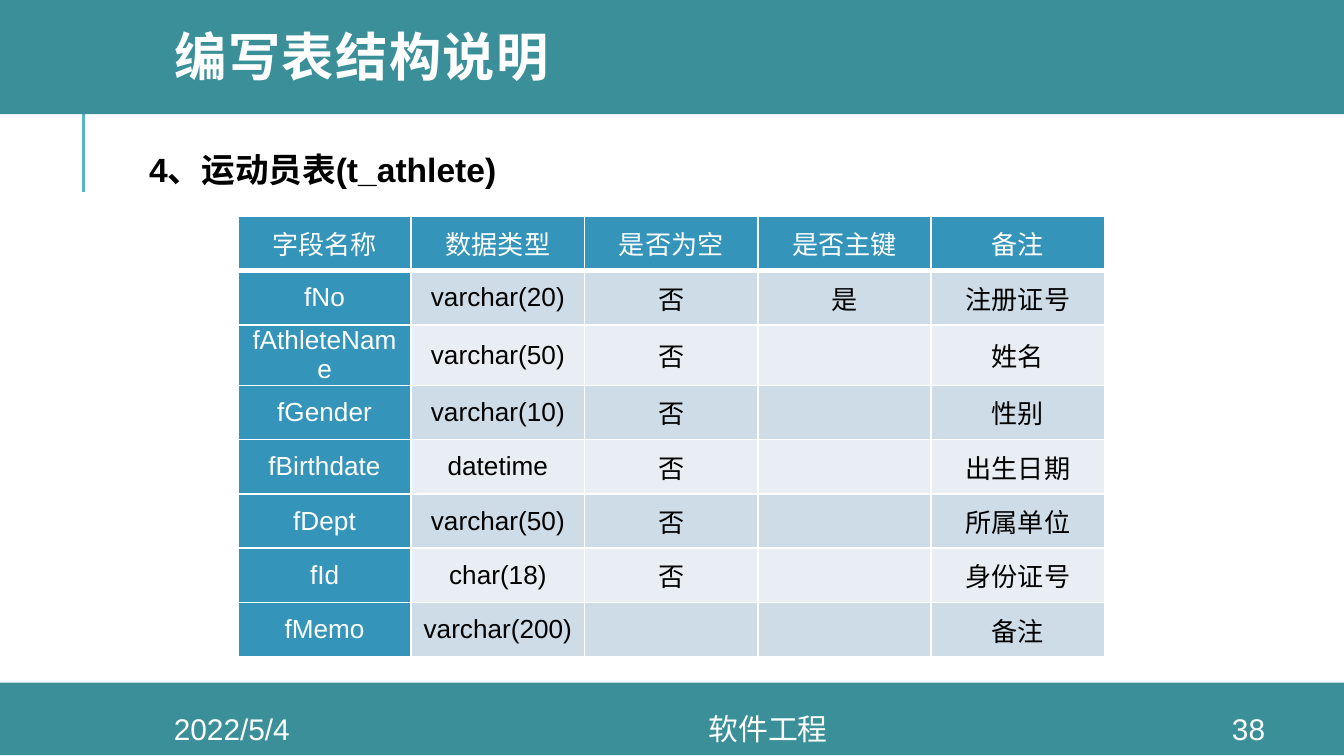
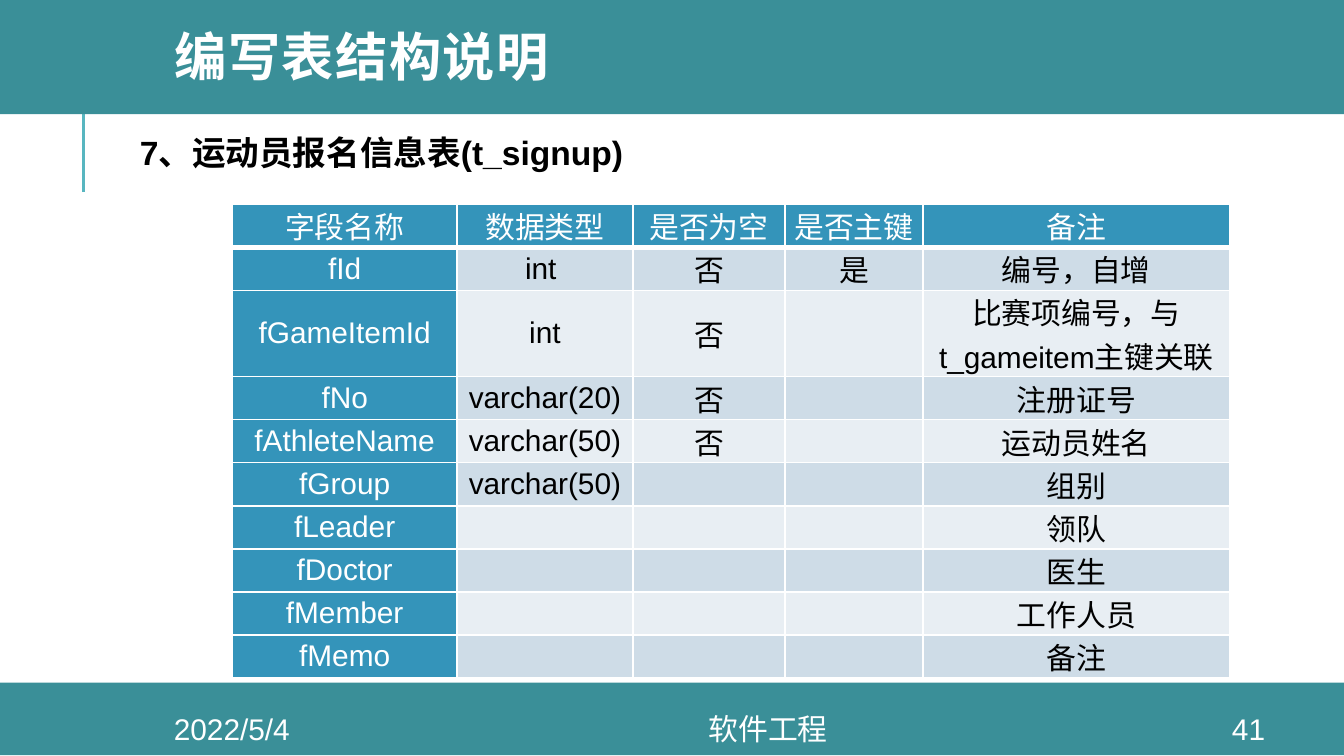
import pptx
import pptx.util
import pptx.dml.color
import pptx.enum.shapes
import pptx.enum.text
import pptx.oxml
import pptx.oxml.ns
from lxml import etree

Inches = pptx.util.Inches
Pt = pptx.util.Pt
RGB = pptx.dml.color.RGBColor
ALIGN = pptx.enum.text.PP_ALIGN
SHAPE = pptx.enum.shapes.MSO_SHAPE
LINE = pptx.enum.shapes.MSO_CONNECTOR

TEAL = RGB(0x3A, 0x8F, 0x98)
AQUA = RGB(0x58, 0xB6, 0xC0)
BLUE = RGB(0x34, 0x94, 0xBA)
DARK = RGB(0xCE, 0xDC, 0xE7)
PALE = RGB(0xE8, 0xEE, 0xF3)
WHITE = RGB(0xFF, 0xFF, 0xFF)
BLACK = RGB(0, 0, 0)
FACE = "Arial"

TITLE = "编写表结构说明"
DATE = "2022/5/4"
COURSE = "软件工程"
BANDS = [(0, 5.08, 10, 0.54), (0, -0.03, 10, 0.88)]
HEADS = ("字段名称", "数据类型", "是否为空", "是否主键", "备注")

PAGES = [
    {
        "page": "38",
        "label": "4、运动员表(t_athlete)",
        "box": (1.04, 0.97, 2.96, 0.58),
        "spot": (1.77, 1.61),
        "size": 14,
        "cols": [1.29] * 5,
        "deep": 3.28,
        "tall": 0.45,
        "rows": [
            ("fNo", "varchar(20)", "否", "是", "注册证号"),
            ("fAthleteName", "varchar(50)", "否", "", "姓名"),
            ("fGender", "varchar(10)", "否", "", "性别"),
            ("fBirthdate", "datetime", "否", "", "出生日期"),
            ("fDept", "varchar(50)", "否", "", "所属单位"),
            ("fId", "char(18)", "否", "", "身份证号"),
            ("fMemo", "varchar(200)", "", "", "备注"),
        ],
    },
    {
        "page": "41",
        "label": "7、运动员报名信息表(t_signup)",
        "box": (0.97, 0.94, 3.75, 0.38),
        "spot": (1.73, 1.52),
        "size": 16,
        "cols": [1.67, 1.31, 1.13, 1.03, 2.28],
        "deep": 3.07,
        "tall": 0.46,
        "rows": [
            ("fId", "int ", "否", "是", "编号，自增"),
            ("fGameItemId", "int", "否", "", "比赛项编号，与t_gameitem主键关联"),
            ("fNo", "varchar(20)", "否", "", "注册证号"),
            ("fAthleteName", "varchar(50)", "否", "", "运动员姓名"),
            ("fGroup", "varchar(50)", "", "", "组别"),
            ("fLeader", "", "", "", "领队"),
            ("fDoctor", "", "", "", "医生"),
            ("fMember", "", "", "", "工作人员"),
            ("fMemo", "", "", "", "备注"),
        ],
    },
]


def style(para, size, color, bold=False, align=ALIGN.LEFT):
    para.alignment = align
    for run in para.runs:
        run.font.name = FACE
        run.font.size = Pt(size)
        run.font.bold = bold
        run.font.color.rgb = color


def add_text(slide, box, text, size, color, bold=False, align=ALIGN.LEFT, pad=0):
    frame = slide.shapes.add_textbox(*map(Inches, box)).text_frame
    frame.word_wrap = True
    frame.vertical_anchor = pptx.enum.text.MSO_ANCHOR.MIDDLE
    frame.margin_left = frame.margin_right = Inches(pad)
    frame.margin_top = frame.margin_bottom = 0
    frame.text = text
    style(frame.paragraphs[0], size, color, bold, align)


def add_frame(slide):
    rule = slide.shapes.add_connector(
        LINE.STRAIGHT, Inches(0.62), Inches(1.43), Inches(0.62), Inches(0.68))
    rule.line.color.rgb = AQUA
    rule.line.width = Pt(1.5)
    props = rule.element.find(pptx.oxml.ns.qn("p:spPr"))
    etree.SubElement(props, pptx.oxml.ns.qn("a:effectLst"))
    for box in BANDS:
        band = slide.shapes.add_shape(SHAPE.RECTANGLE, *map(Inches, box))
        band.shadow.inherit = False
        band.fill.solid()
        band.fill.fore_color.rgb = TEAL
        band.line.fill.background()


def set_title(slide):
    title = slide.shapes.title
    title.element.getparent().append(title.element)
    title.left, title.top = Inches(1.2), Inches(0)
    title.width, title.height = Inches(8.49), Inches(0.91)
    frame = title.text_frame
    frame.text = TITLE
    frame.auto_size = pptx.enum.text.MSO_AUTO_SIZE.NONE
    frame.vertical_anchor = pptx.enum.text.MSO_ANCHOR.MIDDLE
    para = frame.paragraphs[0]
    para.line_spacing = 0.8
    style(para, 28, WHITE, True)
    for props in title.element.iter(pptx.oxml.ns.qn("a:rPr")):
        props.set("spc", "80")


def set_edges(cell):
    props = cell._tc.get_or_add_tcPr()
    for at, (side, width) in enumerate((("L", 1), ("R", 1), ("T", 1), ("B", 3))):
        edge = pptx.oxml.parse_xml(
            f'<a:ln{side} {pptx.oxml.ns.nsdecls("a")} w="{Pt(width)}"><a:solidFill>'
            f'<a:srgbClr val="{WHITE}"/></a:solidFill></a:ln{side}>')
        props.insert(at, edge)


def add_table(slide, page):
    rows = [HEADS] + page["rows"]
    cols = page["cols"]
    tall, deep = page["tall"], page["deep"]
    highs = [(deep - tall) / (len(rows) - 1)] * len(rows)
    highs[2] = tall
    box = (*page["spot"], sum(cols), deep)
    table = slide.shapes.add_table(len(rows), len(cols), *map(Inches, box)).table
    table.first_row = table.horz_banding = False
    for col, width in zip(table.columns, cols):
        col.width = Inches(width)
    for r, (row, high) in enumerate(zip(rows, highs)):
        table.rows[r].height = Inches(high)
        for c, text in enumerate(row):
            cell = table.cell(r, c)
            head = r == 0 or c == 0
            cell.fill.solid()
            cell.fill.fore_color.rgb = BLUE if head else DARK if r % 2 else PALE
            cell.margin_left = cell.margin_right = Inches(0.06)
            cell.margin_top = cell.margin_bottom = 0
            cell.vertical_anchor = pptx.enum.text.MSO_ANCHOR.MIDDLE
            if r == 0:
                set_edges(cell)
            if text:
                cell.text_frame.text = text
                style(cell.text_frame.paragraphs[0], page["size"],
                      WHITE if head else BLACK, align=ALIGN.CENTER)


def add_foot(slide, number):
    for left, width, text in ((8.89, 0.8, number), (0.84, 1.77, DATE), (2.61, 6.21, COURSE)):
        add_text(slide, (left, 5.31, width, 0.23), text, 16, WHITE, align=ALIGN.CENTER)


def main():
    deck = pptx.Presentation()
    deck.slide_width = Inches(10)
    deck.slide_height = deck.slide_width * 9 // 16
    for page in PAGES:
        slide = deck.slides.add_slide(deck.slide_layouts[5])
        add_frame(slide)
        add_table(slide, page)
        add_text(slide, page["box"], page["label"], 18, BLACK, True, pad=0.07)
        set_title(slide)
        add_foot(slide, page["page"])
    deck.save("out.pptx")


if __name__ == "__main__":
    main()
